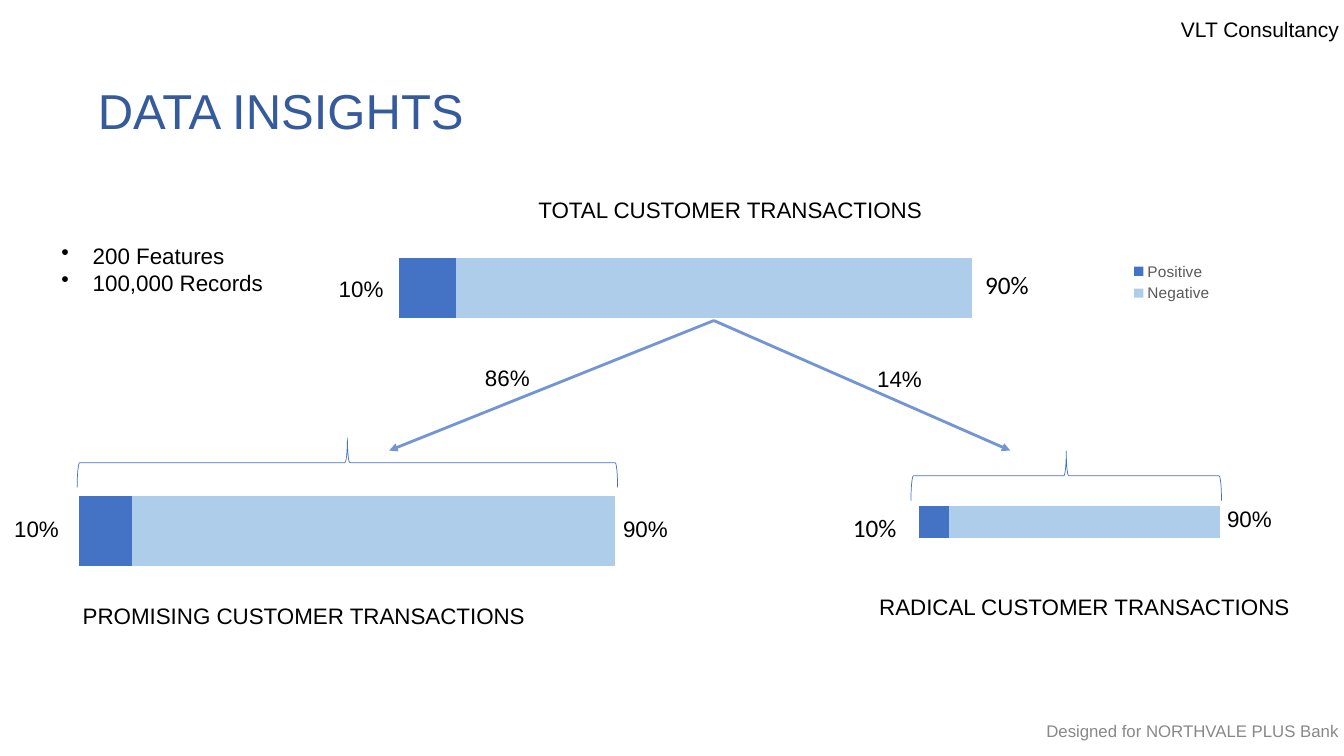
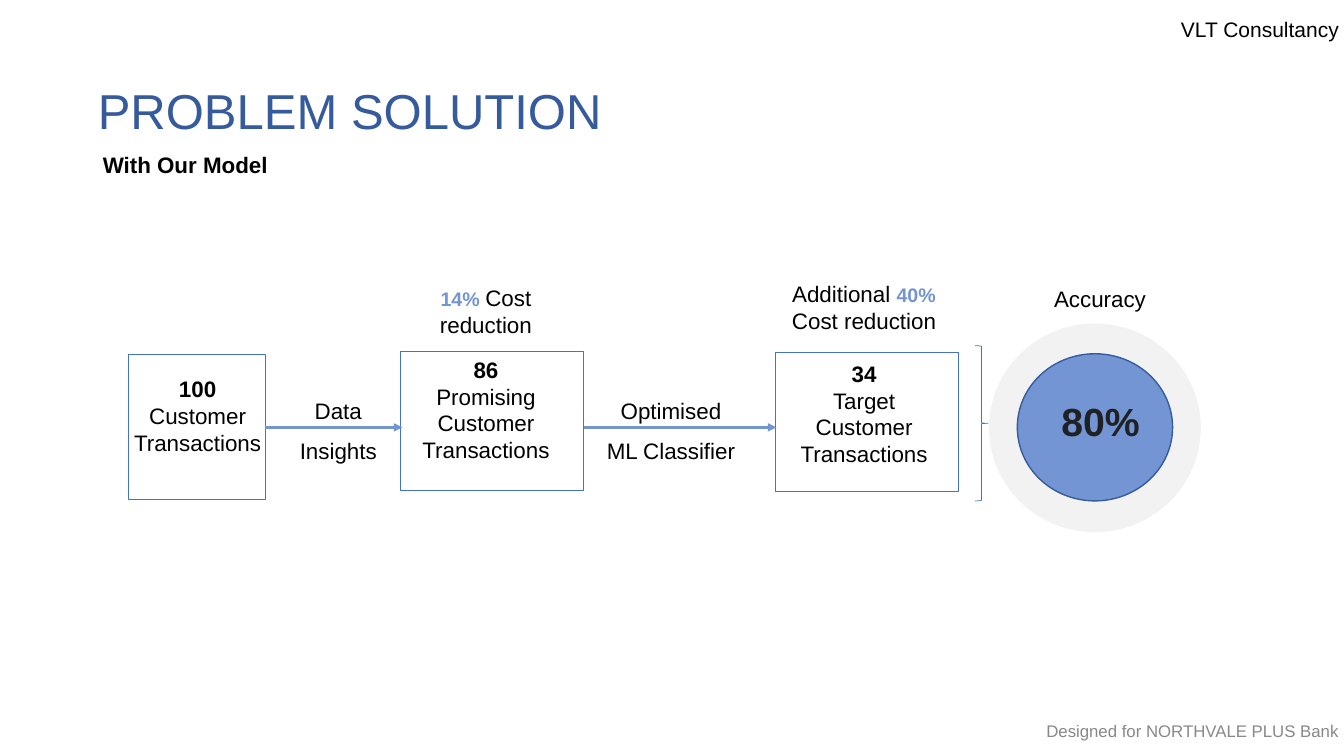
from dataclasses import dataclass

from lxml.etree import SubElement as Sub
from pptx import Presentation
from pptx.chart.data import CategoryChartData as Data
from pptx.dml.color import RGBColor as RGB
from pptx.enum.chart import XL_CHART_TYPE as Chart, XL_LEGEND_POSITION as Place
from pptx.enum.shapes import MSO_CONNECTOR as Link, MSO_SHAPE as Kind
from pptx.enum.text import MSO_ANCHOR as Anchor, PP_ALIGN as Align
from pptx.oxml.ns import qn
from pptx.util import Inches, Pt


@dataclass(frozen=True)
class Theme:
    font: str = "Arial"
    alt: str = "Calibri"
    ink: str = "000000"
    title: str = "365B9D"
    blue: str = "4472C4"
    pale: str = "ADCDEA"
    soft: str = "7395D3"
    ring: str = "F2F2F2"
    dark: str = "202124"
    grey: str = "888888"
    key: str = "595959"
    head: int = 35
    score: int = 28
    large: int = 18
    body: int = 16
    rate: int = 14
    brand: int = 15
    foot: int = 12
    small: int = 11


T = Theme()
PAD = (0.05, 0.05, 0.05, 0.05)


def inch(vals):
    return [Inches(v) for v in vals]


def style(font, size=T.body, color=T.ink, bold=False, face=T.font):
    font.size, font.bold, font.name = Pt(size), bold, face
    font.color.rgb = RGB.from_string(color)


def write(shape, lines, align=Align.LEFT, anchor=Anchor.TOP, pad=PAD,
          gap=1.0, dots=False, **look):
    """Fill a shape; a line is a string or a list of (text, look) runs."""
    frame = shape.text_frame
    frame.word_wrap = True
    frame.vertical_anchor = anchor
    (frame.margin_left, frame.margin_top,
     frame.margin_right, frame.margin_bottom) = inch(pad)
    for i, line in enumerate(lines):
        para = frame.add_paragraph() if i else frame.paragraphs[0]
        para.alignment, para.line_spacing = align, gap
        if dots:
            props = para._p.get_or_add_pPr()
            props.set("marL", str(Inches(0.31)))
            props.set("indent", str(-Inches(0.31)))
            Sub(props, qn("a:buChar"), char="•")
        runs = [(line, {})] if isinstance(line, str) else line
        for words, extra in runs:
            run = para.add_run()
            run.text = words
            style(run.font, **{**look, **extra})


def label(slide, box, *lines, **look):
    write(slide.shapes.add_textbox(*inch(box)), lines, **look)


def shape(slide, kind, box, fill=None, line=None, width=0.75):
    item = slide.shapes.add_shape(kind, *inch(box))
    item.shadow.inherit = False
    if fill:
        item.fill.solid()
        item.fill.fore_color.rgb = RGB.from_string(fill)
    else:
        item.fill.background()
    if line:
        item.line.color.rgb = RGB.from_string(line)
        item.line.width = Pt(width)
    else:
        item.line.fill.background()
    return item


def brace(slide, kind, box, turn=0):
    item = shape(slide, kind, box, line=T.blue, width=0.5)
    item.adjustments[0] = 0.05
    item.rotation = turn


def arrow(slide, start, end, source=None):
    """Draw an arrow; it leaves the right side of source, if given."""
    item = slide.shapes.add_connector(Link.STRAIGHT, *inch(start + end))
    if source is not None:
        item.begin_connect(source, 3)
    item.line.color.rgb = RGB.from_string(T.soft)
    item.line.width = Pt(2)
    Sub(item.line._get_or_add_ln(), qn("a:tailEnd"), type="triangle")
    Sub(item._element.spPr, qn("a:effectLst"))


def place(chart, area):
    """Set the inner plot area as fractions of the chart."""
    plot = chart._chartSpace.chart.plotArea
    for old in plot.findall(qn("c:layout")):
        plot.remove(old)
    layout = Sub(plot, qn("c:layout"))
    plot.insert(0, layout)
    manual = Sub(layout, qn("c:manualLayout"))
    pairs = [("layoutTarget", "inner"), ("xMode", "edge"), ("yMode", "edge")]
    for tag, val in pairs + list(zip("xywh", area)):
        Sub(manual, qn("c:" + tag), val=str(val))


def bar(slide, box, area, legend=False):
    data = Data()
    data.categories = ["1"]
    data.add_series("Positive", [11])
    data.add_series("Negative", [100])
    chart = slide.shapes.add_chart(Chart.BAR_STACKED, *inch(box), data).chart
    style(chart.font, size=10)
    chart.has_title = False
    plot = chart.plots[0]
    plot.gap_width, plot.overlap, plot.vary_by_categories = 79, 100, False
    for series, color in zip(plot.series, (T.blue, T.pale)):
        series.format.fill.solid()
        series.format.fill.fore_color.rgb = RGB.from_string(color)
    axis = chart.value_axis
    axis.minimum_scale, axis.maximum_scale, axis.major_unit = 0, 140, 28
    for side in (axis, chart.category_axis):
        side.has_major_gridlines = False
        side.visible = False
    chart.has_legend = legend
    if legend:
        chart.legend.position = Place.RIGHT
        chart.legend.include_in_layout = True
        style(chart.legend.font, size=T.small, color=T.key)
    place(chart, area)


def page(deck, title):
    slide = deck.slides.add_slide(deck.slide_layouts[6])
    label(slide, (0.92, 0.4, 11.5, 1.45), title, size=T.head, color=T.title,
          anchor=Anchor.MIDDLE, gap=0.9)
    label(slide, (10.33, 0.11, 3, 0.35), "VLT Consultancy", size=T.brand,
          align=Align.RIGHT)
    label(slide, (9.33, 7.1, 4, 0.29), "Designed for NORTHVALE PLUS Bank",
          size=T.foot, color=T.grey, align=Align.RIGHT, anchor=Anchor.MIDDLE)
    return slide


def insights(deck):
    slide = page(deck, "DATA INSIGHTS")
    bar(slide, (3.79, 2.15, 8.34, 1.3), (0.02, 0.13, 0.86, 0.83), legend=True)
    bar(slide, (0.65, 4.5, 6.84, 1.45), (0.02, 0.1, 0.98, 0.86))
    bar(slide, (8.96, 4.75, 3.92, 0.76), (0.04, 0.2, 0.96, 0.73))

    wide = {"size": T.large, "face": T.alt}
    for left, top, rate, look in (
            (3.31, 2.68, "10%", {}), (9.72, 2.62, "90%", wide),
            (0.09, 5.06, "10%", {}), (6.13, 5.06, "90%", {}),
            (8.41, 5.03, "10%", wide), (12.12, 4.96, "90%", {}),
            (4.76, 3.56, "86%", {}), (8.65, 3.57, "14%", {})):
        label(slide, (left, top, 0.86, 0.36), rate, **look)

    brace(slide, Kind.LEFT_BRACE, (3.2, 1.91, 0.49, 5.36), turn=90)
    brace(slide, Kind.LEFT_BRACE, (10.33, 3.18, 0.49, 3.08), turn=90)
    for end in ((3.86, 4.47), (10.02, 4.47)):
        arrow(slide, (7.08, 3.18), end)

    for left, top, group in ((5.29, 1.9, "TOTAL"), (0.77, 5.92, "PROMISING"),
                             (8.67, 5.84, "RADICAL")):
        label(slide, (left, top, 4.6, 0.36), group + " CUSTOMER TRANSACTIONS")
    label(slide, (0.56, 2.35, 2.56, 0.63), "200 Features", "100,000 Records",
          dots=True)


def solution(deck):
    slide = page(deck, "PROBLEM SOLUTION")
    mid = {"align": Align.CENTER}
    lane = 4.24
    label(slide, (0.97, 1.45, 1.93, 0.36), "With Our Model", bold=True)

    steps = []
    for box, pad, count, *words in (
            ((1.27, 3.52, 1.36, 1.44), (0.04, 0.2, 0.02, 0), "100"),
            ((3.97, 3.49, 1.82, 1.38), (0.02, 0.04, 0.14, 0), "86",
             "Promising"),
            ((7.69, 3.5, 1.82, 1.38), (0.02, 0.07, 0.08, 0), "34", "Target")):
        step = shape(slide, Kind.RECTANGLE, box, line=T.blue)
        lines = [[(count, {"bold": True})], *words, "Customer", "Transactions"]
        write(step, lines, pad=pad, **mid)
        steps.append(step)
    arrow(slide, (2.63, lane), (3.99, lane), steps[0])
    arrow(slide, (5.79, lane), (7.7, lane))
    label(slide, (2.76, 3.76, 1.19, 0.86), "Data", "Insights", gap=1.5, **mid)
    label(slide, (5.91, 3.76, 1.49, 0.76), "Optimised", "ML Classifier",
          gap=1.5, **mid)

    rate = {"size": T.rate, "color": T.soft, "bold": True}
    label(slide, (3.99, 2.77, 1.66, 0.64),
          [("14% ", rate), ("Cost reduction", {})], **mid)
    label(slide, (7.74, 2.73, 1.66, 0.64),
          [("Additional ", {}), ("40%", rate), (" Cost reduction", {})], **mid)

    shape(slide, Kind.OVAL, (9.81, 3.21, 2.1, 2.07), fill=T.ring)
    score = shape(slide, Kind.OVAL, (10.09, 3.51, 1.54, 1.46), fill=T.soft,
                  line=T.title, width=1)
    write(score, ["80%"], size=T.score, color=T.dark, bold=True,
          anchor=Anchor.MIDDLE, pad=(0.11, 0, 0, 0.13), **mid)
    label(slide, (10.19, 2.78, 1.44, 0.37), "Accuracy", **mid)
    brace(slide, Kind.RIGHT_BRACE, (9.67, 3.43, 0.13, 1.54))


def main():
    deck = Presentation()
    deck.slide_width, deck.slide_height = Inches(13.33), Inches(7.5)
    insights(deck)
    solution(deck)
    deck.save("out.pptx")


if __name__ == "__main__":
    main()
